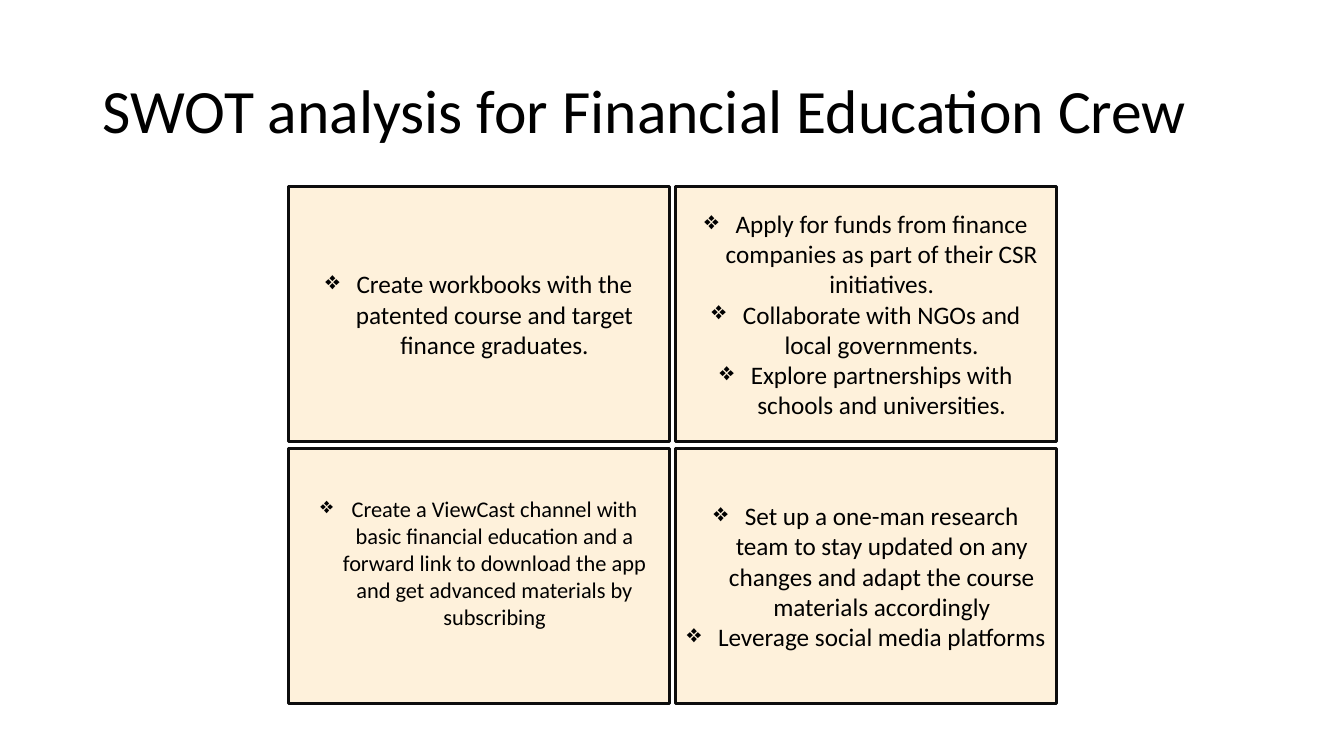
from dataclasses import dataclass

from lxml.etree import SubElement
from pptx import Presentation
from pptx.dml.color import RGBColor
from pptx.enum.shapes import MSO_SHAPE
from pptx.enum.text import MSO_ANCHOR, MSO_AUTO_SIZE, PP_ALIGN
from pptx.oxml.ns import qn
from pptx.shapes.group import GroupShape
from pptx.text.text import _Paragraph as Para
from pptx.util import Pt

PX = 9144  # 100 px to the inch
HUES = {"text": "000000", "fill": "FCA412", "line": "0D0D0D"}
FONT = "Calibri"
LEFT, TOP, WIDE, HIGH = 286, 185, 378, 253
STEP_X, STEP_Y = 384, 260
INDENT = 31


@dataclass
class Box:
    col: int
    row: int
    items: list[str]
    size: int = 18
    foot: int = 5


BOXES = [
    Box(0, 0, ["Create workbooks with the patented course and target finance graduates."]),
    Box(1, 0, [
        "Apply for funds from finance companies as part of their CSR initiatives.",
        "Collaborate with NGOs and local governments.",
        "Explore partnerships with schools and universities.",
    ]),
    Box(0, 1, [
        "Create a ViewCast channel with basic financial education and a forward "
        "link to download the app and get advanced materials by subscribing",
    ], size=16, foot=32),
    Box(1, 1, [
        "Set up a one-man research team to stay updated on any changes and adapt "
        "the course materials accordingly",
        "Leverage social media platforms",
    ]),
]


def px(num: int) -> int:
    return num * PX


def hue(name: str) -> RGBColor:
    return RGBColor.from_string(HUES[name])


def style(para: Para, size: int, align: PP_ALIGN) -> None:
    para.alignment = align
    for run in para.runs:
        run.font.name = FONT
        run.font.size = Pt(size)
        run.font.color.rgb = hue("text")


def mark(para: Para) -> None:
    """Give the paragraph a diamond bullet with a hanging indent."""
    props = para._p.get_or_add_pPr()
    props.set("marL", str(px(INDENT)))
    props.set("indent", str(-px(INDENT)))
    SubElement(props, qn("a:buChar"), char="❖")


def draw(group: GroupShape, box: Box) -> None:
    shape = group.shapes.add_shape(
        MSO_SHAPE.RECTANGLE,
        px(LEFT + box.col * STEP_X), px(TOP + box.row * STEP_Y), px(WIDE), px(HIGH),
    )
    shape.shadow.inherit = False
    shape.fill.solid()
    shape.fill.fore_color.rgb = hue("fill")
    color = shape._element.spPr.find(qn("a:solidFill"))[0]
    SubElement(color, qn("a:alpha"), val="15000")
    shape.line.color.rgb = hue("line")
    shape.line.width = Pt(2.25)
    frame = shape.text_frame
    frame.word_wrap = True
    frame.vertical_anchor = MSO_ANCHOR.MIDDLE
    frame.margin_bottom = px(box.foot)
    frame.text = "\n".join(box.items)
    for para in frame.paragraphs:
        mark(para)
        style(para, box.size, PP_ALIGN.CENTER)


def main() -> None:
    deck = Presentation()
    deck.slide_width, deck.slide_height = px(1333), px(750)
    slide = deck.slides.add_slide(deck.slide_layouts[5])
    title = slide.shapes.title
    title.left, title.top, title.width, title.height = map(px, (92, 40, 1150, 145))
    frame = title.text_frame
    frame.text = "SWOT analysis for Financial Education Crew"
    frame.word_wrap = True
    frame.auto_size = MSO_AUTO_SIZE.NONE
    frame.vertical_anchor = MSO_ANCHOR.MIDDLE
    frame.paragraphs[0].line_spacing = 0.9
    style(frame.paragraphs[0], 44, PP_ALIGN.LEFT)
    group = slide.shapes.add_group_shape()
    for box in BOXES:
        draw(group, box)
    deck.save("out.pptx")


if __name__ == "__main__":
    main()
